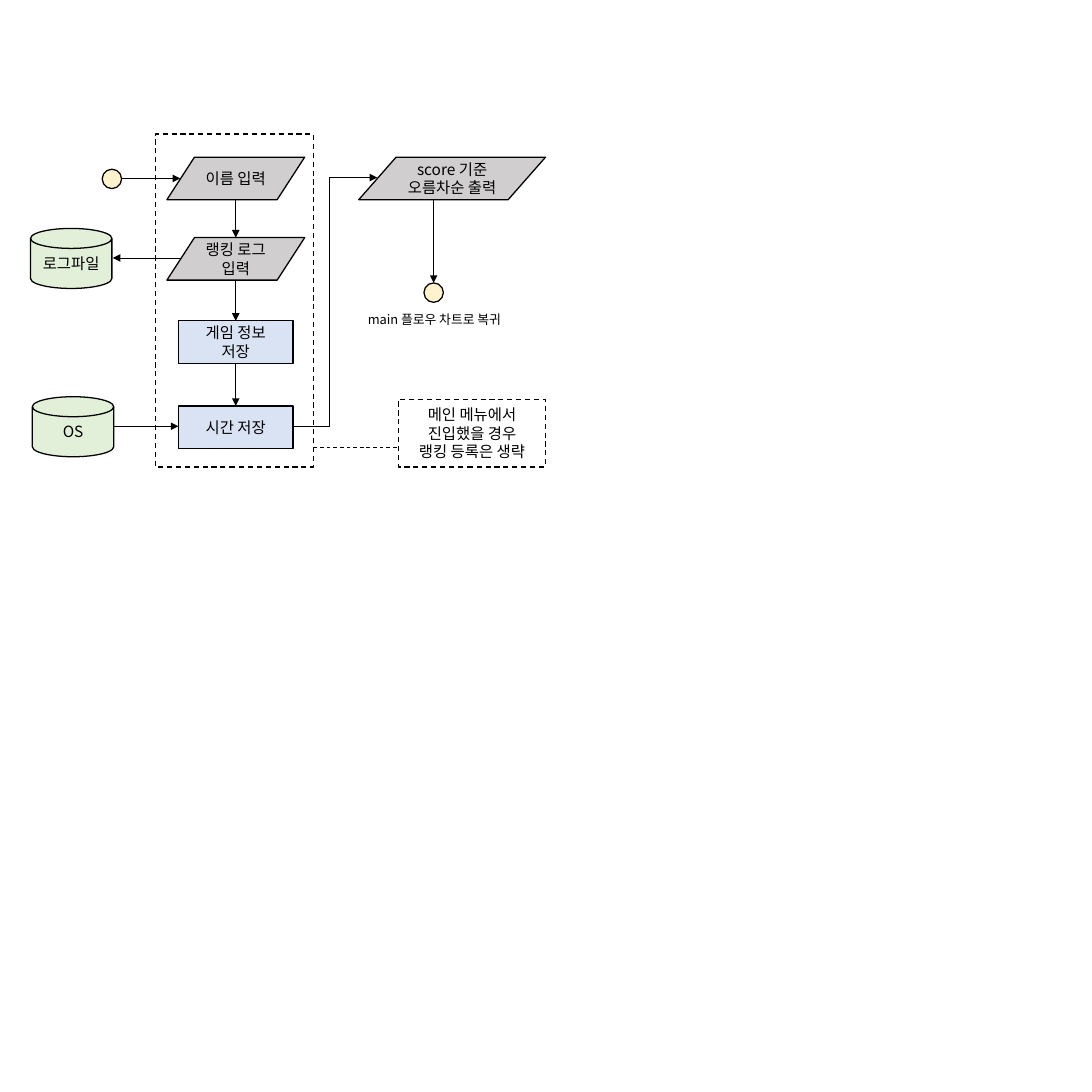
from lxml import etree
from pptx import Presentation
from pptx.dml.color import RGBColor
from pptx.enum.dml import MSO_LINE
from pptx.enum.shapes import MSO_CONNECTOR, MSO_SHAPE
from pptx.enum.text import MSO_ANCHOR, MSO_AUTO_SIZE, PP_ALIGN
from pptx.oxml.ns import qn
from pptx.util import Inches, Pt

RECT = MSO_SHAPE.RECTANGLE
OVAL = MSO_SHAPE.OVAL
DATA = MSO_SHAPE.FLOWCHART_DATA
DISK = MSO_SHAPE.FLOWCHART_MAGNETIC_DISK
STRAIGHT = MSO_CONNECTOR.STRAIGHT
ELBOW = MSO_CONNECTOR.ELBOW
DASH = MSO_LINE.DASH
CENTER, LEFT = PP_ALIGN.CENTER, PP_ALIGN.LEFT
MIDDLE = MSO_ANCHOR.MIDDLE
FIT = MSO_AUTO_SIZE.SHAPE_TO_FIT_TEXT

FONT = "Noto Sans CJK KR"
COLORS = {
    "ink": "000000",
    "paper": "FFFFFF",
    "start": "FFF2CC",
    "data": "D0CECE",
    "step": "DAE3F3",
    "store": "E2F0D9",
}
SIDE = 11.81
MID = 2.55      # centre of the main column
OUT = 4.69      # centre of the output column
DOT = 0.21
ROW = 0.46      # height of a step
ROWS = [1.7, 2.57, 3.47, 4.39]


def color(name):
    return RGBColor.from_string(COLORS[name])


def write(frame, lines, size, align):
    for i, line in enumerate(lines):
        para = frame.paragraphs[0] if i == 0 else frame.add_paragraph()
        para.text = line
        para.alignment = align
        font = para.font
        font.size = Pt(size)
        font.color.rgb = color("ink")
        font.name = FONT
        props = para._p.pPr.find(qn("a:defRPr"))
        etree.SubElement(props, qn("a:ea")).set("typeface", FONT)


def node(slide, kind, box, fill=None, lines=(), dashed=False):
    shape = slide.shapes.add_shape(kind, *map(Inches, box))
    shape.shadow.inherit = False
    if fill:
        shape.fill.solid()
        shape.fill.fore_color.rgb = color(fill)
    else:
        shape.fill.background()
    shape.line.color.rgb = color("ink")
    shape.line.width = Pt(1)
    if dashed:
        shape.line.dash_style = DASH
    frame = shape.text_frame
    frame.word_wrap = True
    frame.vertical_anchor = MIDDLE
    write(frame, lines, 12, CENTER)


def dot(slide, x, y):
    node(slide, OVAL, (x - DOT / 2, y, DOT, DOT), "start")


def link(slide, start, end, kind=STRAIGHT, width=0.5):
    line = slide.shapes.add_connector(kind, *map(Inches, start + end))
    line.line.color.rgb = color("ink")
    line.line.width = Pt(width)
    etree.SubElement(line._element.spPr, qn("a:effectLst"))
    return line


def arrow(slide, start, end, kind=STRAIGHT):
    line = link(slide, start, end, kind)
    tail = etree.SubElement(line.line._get_or_add_ln(), qn("a:tailEnd"))
    tail.set("type", "triangle")
    return line


def bend(line, share):
    """Place the elbow at this share of the connector's width."""
    geom = line._element.spPr.find(qn("a:prstGeom"))
    guides = geom.find(qn("a:avLst"))
    if guides is None:
        guides = etree.SubElement(geom, qn("a:avLst"))
    guide = etree.SubElement(guides, qn("a:gd"))
    guide.set("name", "adj1")
    guide.set("fmla", f"val {round(share * 100000)}")


def label(slide, box, text):
    shape = slide.shapes.add_textbox(*map(Inches, box))
    frame = shape.text_frame
    frame.word_wrap = False
    frame.auto_size = FIT
    write(frame, [text], 10, LEFT)


def column(slide):
    steps = [
        (DATA, 1.49, "data", "이름 입력"),
        (DATA, 1.49, "data", "랭킹 로그\v입력"),
        (RECT, 1.24, "step", "게임 정보\v저장"),
        (RECT, 1.24, "step", "시간 저장"),
    ]
    for y, (kind, width, fill, text) in zip(ROWS, steps):
        node(slide, kind, (MID - width / 2, y, width, ROW), fill, [text])
    for top, low in zip(ROWS, ROWS[1:]):
        arrow(slide, (MID, top + ROW), (MID, low))


def main():
    deck = Presentation()
    deck.slide_width = deck.slide_height = Inches(SIDE)
    slide = deck.slides.add_slide(deck.slide_layouts[6])

    dot(slide, 1.21, 1.83)
    column(slide)
    for x, y, text in [(0.33, 2.47, "로그파일"), (0.35, 4.29, "OS")]:
        node(slide, DISK, (x, y, 0.88, 0.65), "store", [text])
    node(slide, DATA, (3.88, 1.7, 2.02, ROW), "data",
         ["score 기준\v오름차순 출력"])
    dot(slide, OUT, 3.06)
    label(slide, (3.88, 3.32, 1.73, 0.27), "main 플로우 차트로 복귀")

    for start, end in [
        ((1.32, 1.93), (1.95, 1.93)),
        ((1.95, 2.79), (1.22, 2.79)),
        ((1.23, 4.61), (1.93, 4.61)),
        ((OUT, 2.15), (OUT, 3.06)),
    ]:
        arrow(slide, start, end)
    bend(arrow(slide, (3.17, 4.61), (4.08, 1.92), ELBOW), 0.43)

    node(slide, RECT, (1.68, 1.45, 1.71, 3.6), dashed=True)
    node(slide, RECT, (4.31, 4.32, 1.59, 0.73), "paper",
         ["메인 메뉴에서\v진입했을 경우", "랭킹 등록은 생략"], dashed=True)
    link(slide, (3.39, 4.84), (4.31, 4.84), width=0.75).line.dash_style = DASH

    deck.save("out.pptx")


if __name__ == "__main__":
    main()
